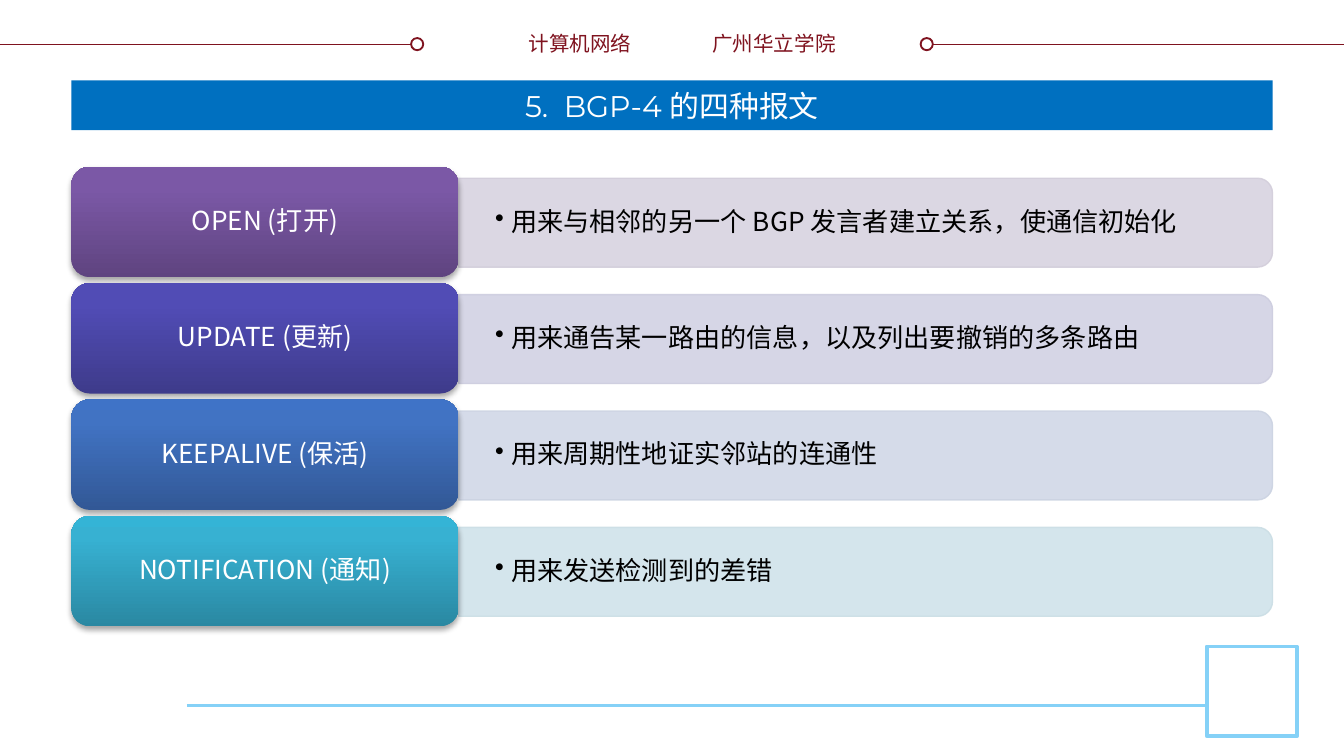
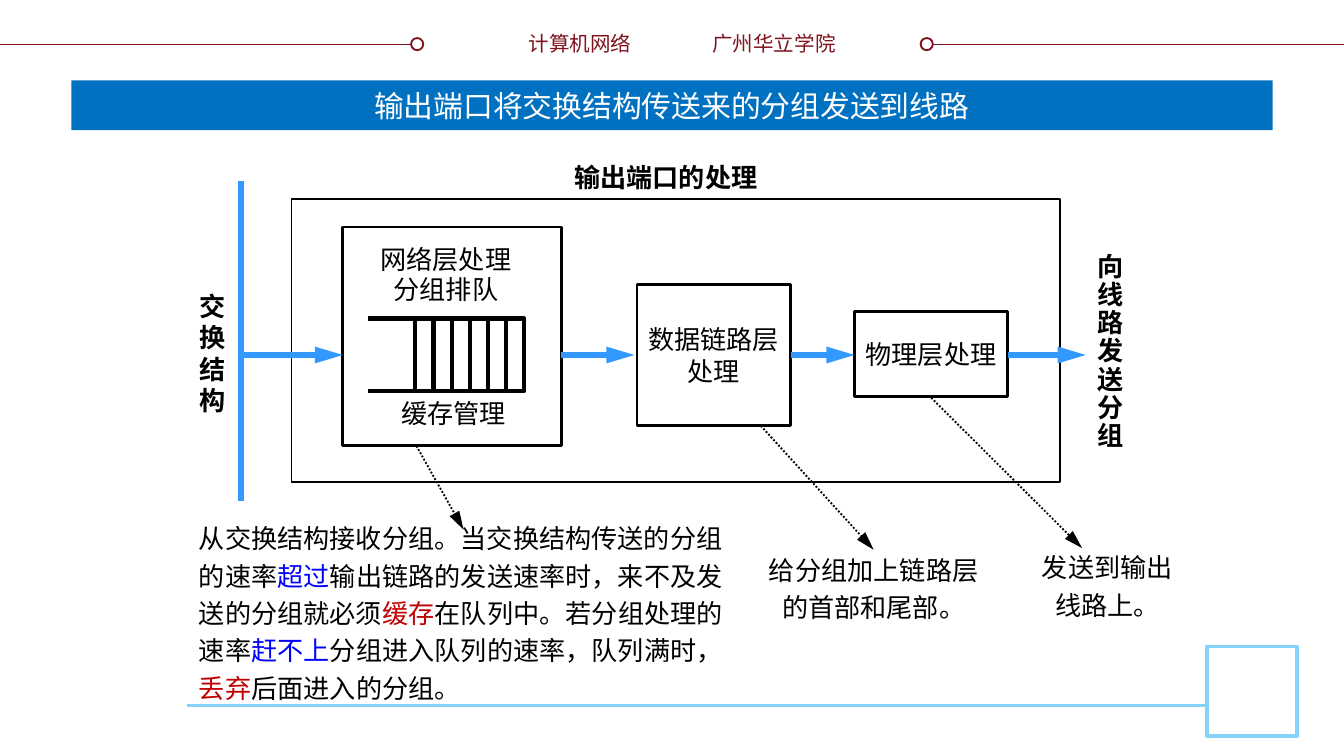
import math

from lxml import etree
from pptx import Presentation
from pptx import util as u
from pptx.dml.color import RGBColor
from pptx.enum import dml, shapes, text
from pptx.oxml import ns, parse_xml
from pptx.util import Cm

# Colours and fonts
WHITE = RGBColor(0xFF, 0xFF, 0xFF)
BLACK = RGBColor(0, 0, 0)
MAROON = RGBColor(0x7F, 0x13, 0x1F)
SKY = RGBColor(0x85, 0xD1, 0xF7)
TITLE_BLUE = RGBColor(0, 0x70, 0xC0)
FLOW_BLUE = RGBColor(0x33, 0x99, 0xFF)
BLUE = RGBColor(0, 0, 0xFF)
RED = RGBColor(0xC0, 0, 0)
CJK = "Noto Sans CJK SC"
TITLE_FONT = "Montserrat"

LEFT, CENTER, RIGHT = text.PP_ALIGN.LEFT, text.PP_ALIGN.CENTER, text.PP_ALIGN.RIGHT
TOP, MIDDLE = text.MSO_ANCHOR.TOP, text.MSO_ANCHOR.MIDDLE
RECTANGLE = shapes.MSO_SHAPE.RECTANGLE
ROUNDED = shapes.MSO_SHAPE.ROUNDED_RECTANGLE
OVAL = shapes.MSO_SHAPE.OVAL

# Message name, meaning, gradient stops (bottom to top), panel fill, panel line
MESSAGES = [
    ("OPEN (打开)", "用来与相邻的另一个 BGP 发言者建立关系，使通信初始化",
     ("5F4480", "7B58A6", "7C57A8"), "D8D3E0", "D3CEDB"),
    ("UPDATE (更新)", "用来通告某一路由的信息，以及列出要撤销的多条路由",
     ("3E3B8B", "514CB5", "504AB8"), "D2D2E4", "CDCDDF"),
    ("KEEPALIVE (保活)", "用来周期性地证实邻站的连通性",
     ("325896", "4173C3", "3F73C7"), "D1D8E7", "CCD3E2"),
    ("NOTIFICATION (通知)", "用来发送检测到的差错",
     ("2A88A2", "37B1D2", "34B4D6"), "D0E3EA", "CBDEE5"),
]


def box(left, top, width, height):
    return Cm(left), Cm(top), Cm(width), Cm(height)


# Text: each paragraph is a string or a list of (string, colour) runs
def write(shape, paragraphs, size=14, font=CJK, color=BLACK, bold=False, align=LEFT,
          anchor=MIDDLE, spacing=None, wrap=True, bullet=False, insets=None):
    frame = shape.text_frame
    frame.word_wrap = wrap
    frame.auto_size = text.MSO_AUTO_SIZE.NONE
    frame.vertical_anchor = anchor
    if insets:
        frame.margin_left, frame.margin_top, frame.margin_right, frame.margin_bottom = map(Cm, insets)
    for index, content in enumerate(paragraphs):
        paragraph = frame.add_paragraph() if index else frame.paragraphs[0]
        paragraph.alignment = align
        if spacing:
            paragraph.line_spacing = spacing
        if bullet:
            properties = paragraph._p.get_or_add_pPr()
            properties.set("marL", str(Cm(0.3)))
            properties.set("indent", str(-Cm(0.3)))
            etree.SubElement(properties, ns.qn("a:buChar")).set("char", "•")
        runs = [(content, color)] if isinstance(content, str) else content
        for words, run_color in runs:
            run = paragraph.add_run()
            run.text = words
            run.font.size = u.Pt(size)
            run.font.bold = bold
            run.font.color.rgb = run_color
            run.font.name = font
            east_asian = etree.SubElement(run._r.get_or_add_rPr(), ns.qn("a:ea"))
            east_asian.set("typeface", CJK)


def add_text(slide, place, paragraphs, **style):
    write(slide.shapes.add_textbox(*box(*place)), paragraphs, **style)


# Shapes and lines
def paint(shape, fill=None, line=None, width=1):
    shape.shadow.inherit = False
    if fill is None:
        shape.fill.background()
    else:
        shape.fill.solid()
        shape.fill.fore_color.rgb = fill
    if line is None:
        shape.line.fill.background()
    else:
        shape.line.color.rgb = line
        shape.line.width = u.Pt(width)


def add_block(slide, kind, place, fill=None, line=None, width=1):
    shape = slide.shapes.add_shape(kind, *box(*place))
    paint(shape, fill, line, width)
    return shape


def add_line(slide, start, end, color, width, arrow=False, dotted=False):
    line = slide.shapes.add_connector(
        shapes.MSO_CONNECTOR.STRAIGHT, *map(Cm, start), *map(Cm, end))
    line.line.color.rgb = color
    line.line.width = u.Pt(width)
    if dotted:
        line.line.dash_style = dml.MSO_LINE.ROUND_DOT
    if arrow:
        head = etree.SubElement(line.line._get_or_add_ln(), ns.qn("a:tailEnd"))
        head.set("type", "triangle")
        head.set("len", "lg")
    etree.SubElement(line._element.spPr, ns.qn("a:effectLst"))


def add_outline(slide, points, close=True):
    points = [(Cm(x), Cm(y)) for x, y in points]
    builder = slide.shapes.build_freeform(*points[0])
    builder.add_line_segments(points[1:], close=close)
    return builder.convert_to_shape()


def make_translucent(shape, percent):
    for color in shape._element.spPr.iter(ns.qn("a:srgbClr")):
        etree.SubElement(color, ns.qn("a:alpha")).set("val", str(percent * 1000))


def add_gradient_and_shadow(shape, colors):
    stops = "".join(f'<a:gs pos="{place}000"><a:srgbClr val="{color}"/></a:gs>'
                    for place, color in zip((0, 80, 100), colors))
    properties = shape._element.spPr
    gradient = parse_xml(f'<a:gradFill {ns.nsdecls("a")} rotWithShape="1"><a:gsLst>{stops}</a:gsLst>'
                         '<a:lin ang="16200000" scaled="0"/></a:gradFill>')
    properties.replace(properties.find(ns.qn("a:noFill")), gradient)
    shadow = parse_xml(f'<a:outerShdw {ns.nsdecls("a")} blurRad="40000" dist="23000" dir="5400000"'
                       ' rotWithShape="0"><a:srgbClr val="000000"><a:alpha val="35000"/>'
                       '</a:srgbClr></a:outerShdw>')
    properties.find(ns.qn("a:effectLst")).append(shadow)


# Shared header and footer, drawn once and moved to the layout
def build_layout(presentation):
    layout = presentation.slide_layouts[5]
    for placeholder in list(layout.placeholders)[1:]:
        placeholder._element.getparent().remove(placeholder._element)
    slide = presentation.slides.add_slide(layout)
    for start, end, ring in ((0, 8, 7.77), (17.4, 25.4, 17.4)):
        add_line(slide, (start, 0.84), (end, 0.84), MAROON, 1)
        add_block(slide, OVAL, (ring, 0.72, 0.23, 0.23), WHITE, MAROON)
    header = dict(size=11, color=MAROON, anchor=TOP, wrap=False)
    add_text(slide, (9.73, 0.46, 2.46, 0.74), ["计算机网络"], align=RIGHT, **header)
    add_text(slide, (13.21, 0.46, 2.95, 0.74), ["广州华立学院"], **header)
    add_line(slide, (3.53, 13.34), (22.81, 13.34), SKY, 1.5)
    add_block(slide, RECTANGLE, (22.81, 12.22, 1.7, 1.7), WHITE, SKY, 2)
    for shape in list(slide.shapes)[1:]:
        layout.shapes._spTree.append(shape._element)
    return layout, slide


def set_title(slide, words):
    title = slide.shapes.title
    title.left, title.top, title.width, title.height = box(1.35, 1.52, 22.7, 0.94)
    title.fill.solid()
    title.fill.fore_color.rgb = TITLE_BLUE
    write(title, [words], size=16, font=TITLE_FONT, color=WHITE, align=CENTER)


# Message rows
def add_panel(slide, left, top, width, height, fill, line):
    radius, right, bottom = 0.28, left + width, top + height
    angles = [math.radians(step * 15) for step in range(7)]
    upper = [(right - radius + radius * math.sin(a), top + radius - radius * math.cos(a))
             for a in angles]
    lower = [(x, top + bottom - y) for x, y in reversed(upper)]
    panel = add_outline(slide, [(left, top), *upper, *lower, (left, bottom)])
    paint(panel, RGBColor.from_string(fill), RGBColor.from_string(line), 0.75)
    make_translucent(panel, 90)
    return panel


def build_messages(slide):
    set_title(slide, "5.  BGP-4 的四种报文")
    for row, (name, meaning, gradient, fill, line) in enumerate(MESSAGES):
        top = 3.15 + 2.2 * row
        panel = add_panel(slide, 8.67, top + 0.22, 15.38, 1.68, fill, line)
        write(panel, [meaning], spacing=0.9, bullet=True, insets=(0.69, 0.43, 0.76, 0.43))
        label = add_block(slide, ROUNDED, (1.35, top, 7.32, 2.09))
        add_gradient_and_shadow(label, gradient)
        write(label, [name], color=WHITE, align=CENTER, spacing=0.9)


# Output port diagram
def add_queue(slide):
    left, right, top, bottom, first_bar, cells = 6.96, 9.91, 6.02, 7.39, 7.85, 6
    outline = add_outline(slide, [(left, top), (right, top), (right, bottom), (left, bottom)], False)
    paint(outline, None, BLACK, 2.25)
    for cell in range(cells):
        x = first_bar + cell * (right - first_bar) / cells
        add_line(slide, (x, top), (x, bottom), BLACK, 2.25)


def add_note(slide, place, content, start, end, align=CENTER):
    add_text(slide, place, [content], align=align, spacing=u.Pt(20))
    add_line(slide, start, end, BLACK, 1, arrow=True, dotted=True)


def build_output_port(slide):
    set_title(slide, "输出端口将交换结构传送来的分组发送到线路")

    # Processing stages
    add_block(slide, RECTANGLE, (5.51, 3.76, 14.53, 5.36), line=BLACK)
    stages = [((16.15, 5.89, 2.9, 1.6), ["物理层处理"]),
              ((12.04, 5.38, 2.9, 2.67), ["数据链路层", "处理"]),
              ((6.48, 4.29, 4.14, 4.14), [])]
    for place, words in stages:
        stage = add_block(slide, RECTANGLE, place, line=BLACK, width=1.5)
        write(stage, words, align=CENTER, wrap=False)

    # Flow of packets
    for start, end in ((19.05, 20.52), (14.94, 16.15), (10.6, 11.99), (4.55, 6.48)):
        add_line(slide, (start, 6.71), (end, 6.71), FLOW_BLUE, 3, arrow=True)
    add_line(slide, (4.55, 3.43), (4.55, 9.47), FLOW_BLUE, 3)
    add_queue(slide)

    # Labels
    label = dict(anchor=TOP, wrap=False, align=CENTER)
    add_text(slide, (6.93, 4.52, 3, 1.4), ["网络层处理", "分组排队"], spacing=0.95, **label)
    add_text(slide, (7.32, 7.39, 2.51, 0.86), ["缓存管理"], **label)
    add_text(slide, (10.44, 2.92, 4.29, 0.86), ["输出端口的处理"], bold=True, **label)
    add_text(slide, (20.47, 4.67, 1.02, 4.04), list("向线路发送分组"),
             bold=True, spacing=0.9, **label)
    add_text(slide, (3.51, 5.36, 1.02, 2.64), list("交换结构"), bold=True, **label)

    # Notes
    add_note(slide, (19.23, 10.34, 3.4, 1.37), "发送到输出线路上。", (17.6, 7.52), (20.45, 10.36))
    add_note(slide, (14.05, 10.39, 4.93, 1.37), "给分组加上链路层的首部和尾部。",
             (14.38, 8.05), (16.51, 10.39))
    queueing = [("从交换结构接收分组。当交换结构传送的分组的速率", BLACK), ("超过", BLUE),
                ("输出链路的发送速率时，来不及发送的分组就必须", BLACK), ("缓存", RED),
                ("在队列中。若分组处理的速率", BLACK), ("赶不上", BLUE),
                ("分组进入队列的速率，队列满时，", BLACK), ("丢弃", RED),
                ("后面进入的分组。", BLACK)]
    add_note(slide, (3.51, 10.01, 10.52, 3.05), queueing, (7.87, 8.43), (8.76, 10.01), LEFT)


def main():
    presentation = Presentation()
    presentation.slide_width, presentation.slide_height = Cm(25.4), Cm(14.29)
    layout, first_slide = build_layout(presentation)
    build_messages(first_slide)
    build_output_port(presentation.slides.add_slide(layout))
    presentation.save("out.pptx")


if __name__ == "__main__":
    main()
